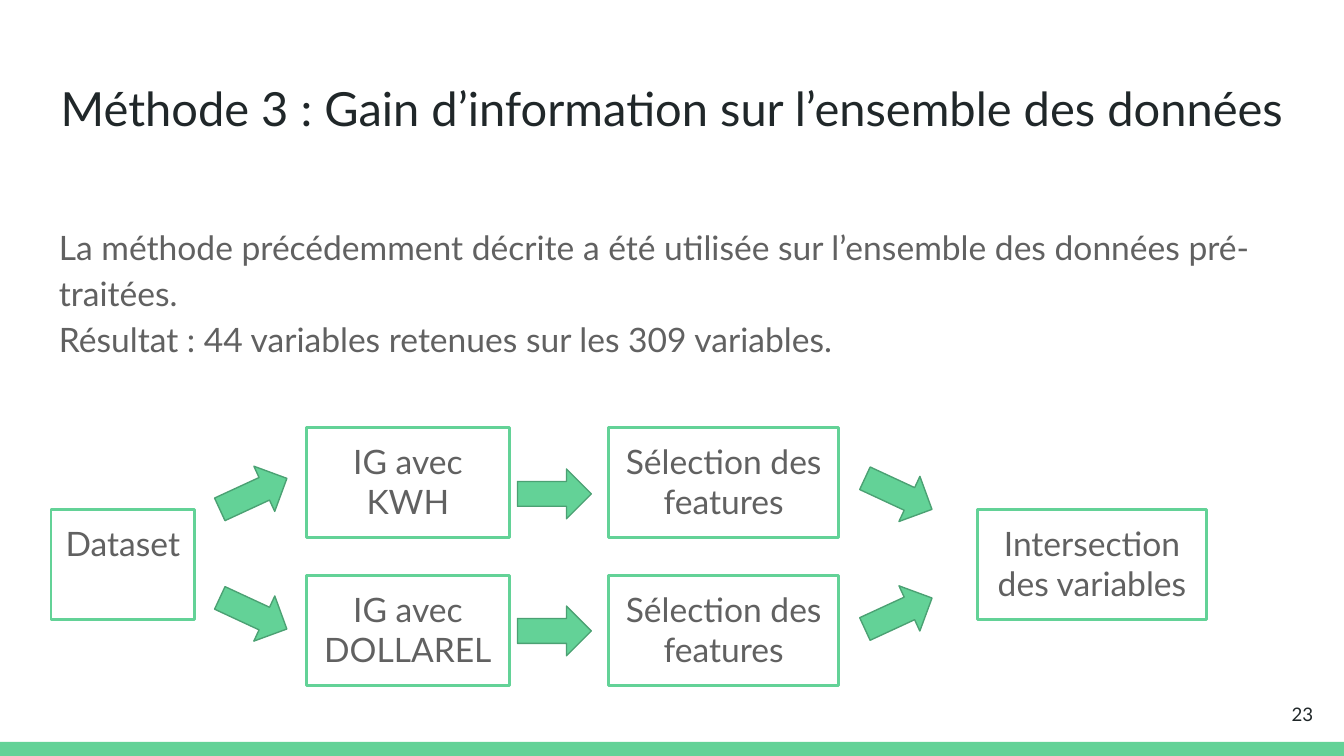
from pptx import Presentation
from pptx.dml.color import RGBColor
from pptx.enum.shapes import MSO_SHAPE
from pptx.enum.text import MSO_ANCHOR, PP_ALIGN
from pptx.util import Inches, Pt

GREEN, EDGE, GREY, DARK = "63D297", "4BA173", "616161", "202729"
MID, TOP, LOW = 3.79, 3.18, 4.28
TALL = 0.82

texts = [
    (["Méthode 3 : Gain d’information sur l’ensemble des données"],
     (0.34, 0.49, 9.32, 1),
     {"size": 25.2, "color": DARK, "align": PP_ALIGN.CENTER}),
    (["La méthode précédemment décrite a été utilisée sur l’ensemble des données pré-traitées.",
      "Résultat : 44 variables retenues sur les 309 variables."],
     (0.34, 1.54, 9.32, 1.27),
     {"size": 18, "color": GREY, "align": PP_ALIGN.LEFT, "space": 1.15}),
    (["23"], (9.27, 5.1, 0.6, 0.43),
     {"size": 10, "color": DARK, "align": PP_ALIGN.RIGHT, "anchor": MSO_ANCHOR.MIDDLE}),
]
steps = [
    (0.38, 1.07, [("Dataset", MID)]),
    (2.28, 1.51, [("IG avec KWH", TOP), ("IG avec DOLLAREL", LOW)]),
    (4.53, 1.71, [("Sélection des features", TOP), ("Sélection des features", LOW)]),
    (7.27, 1.71, [("Intersection des variables", MID)]),
]
arrows = [
    (1.61, [(3.49, -24.8), (4.38, 24.9)]),
    (3.85, [(3.49, 0), (4.51, 0)]),
    (6.41, [(3.49, 24.9), (4.38, -24.8)]),
]
label = {"size": 18, "color": GREY, "align": PP_ALIGN.CENTER}

deck = Presentation()
deck.slide_width, deck.slide_height = Inches(10), Inches(10 * 9 / 16)
slide = deck.slides.add_slide(deck.slide_layouts[6])


def tint(code):
    return RGBColor.from_string(code)


def write(shape, lines, style):
    frame = shape.text_frame
    sets = {"word_wrap": True, "vertical_anchor": style.get("anchor", MSO_ANCHOR.TOP)}
    for side in ("left", "right", "top", "bottom"):
        sets["margin_" + side] = Inches(0.1)
    for name, value in sets.items():
        setattr(frame, name, value)
    frame.text = "\n".join(lines)
    for para in frame.paragraphs:
        para.alignment = style["align"]
        para.line_spacing = style.get("space", 1.0)
        for run in para.runs:
            for name, value in {"name": "Lato", "size": Pt(style["size"])}.items():
                setattr(run.font, name, value)
            run.font.color.rgb = tint(style["color"])


def draw(kind, spot, fill=None, line=None, width=1.5):
    shape = slide.shapes.add_shape(kind, *map(Inches, spot))
    shape.shadow.inherit = False
    if fill:
        shape.fill.solid()
        shape.fill.fore_color.rgb = tint(fill)
    else:
        shape.fill.background()
    if line:
        shape.line.color.rgb = tint(line)
        shape.line.width = Pt(width)
    else:
        shape.line.fill.background()
    return shape


draw(MSO_SHAPE.RECTANGLE, (0, 5.52, 10, 0.11), GREEN)
for lines, spot, style in texts:
    write(slide.shapes.add_textbox(*map(Inches, spot)), lines, style)
for left, wide, cells in steps:
    for text, top in cells:
        box = draw(MSO_SHAPE.RECTANGLE, (left, top, wide, TALL), line=GREEN)
        write(box, [text], label)
for left, turns in arrows:
    for top, turn in turns:
        arrow = draw(MSO_SHAPE.RIGHT_ARROW, (left, top, 0.55, 0.37), GREEN, EDGE, 0.75)
        arrow.rotation = turn

deck.save("out.pptx")
